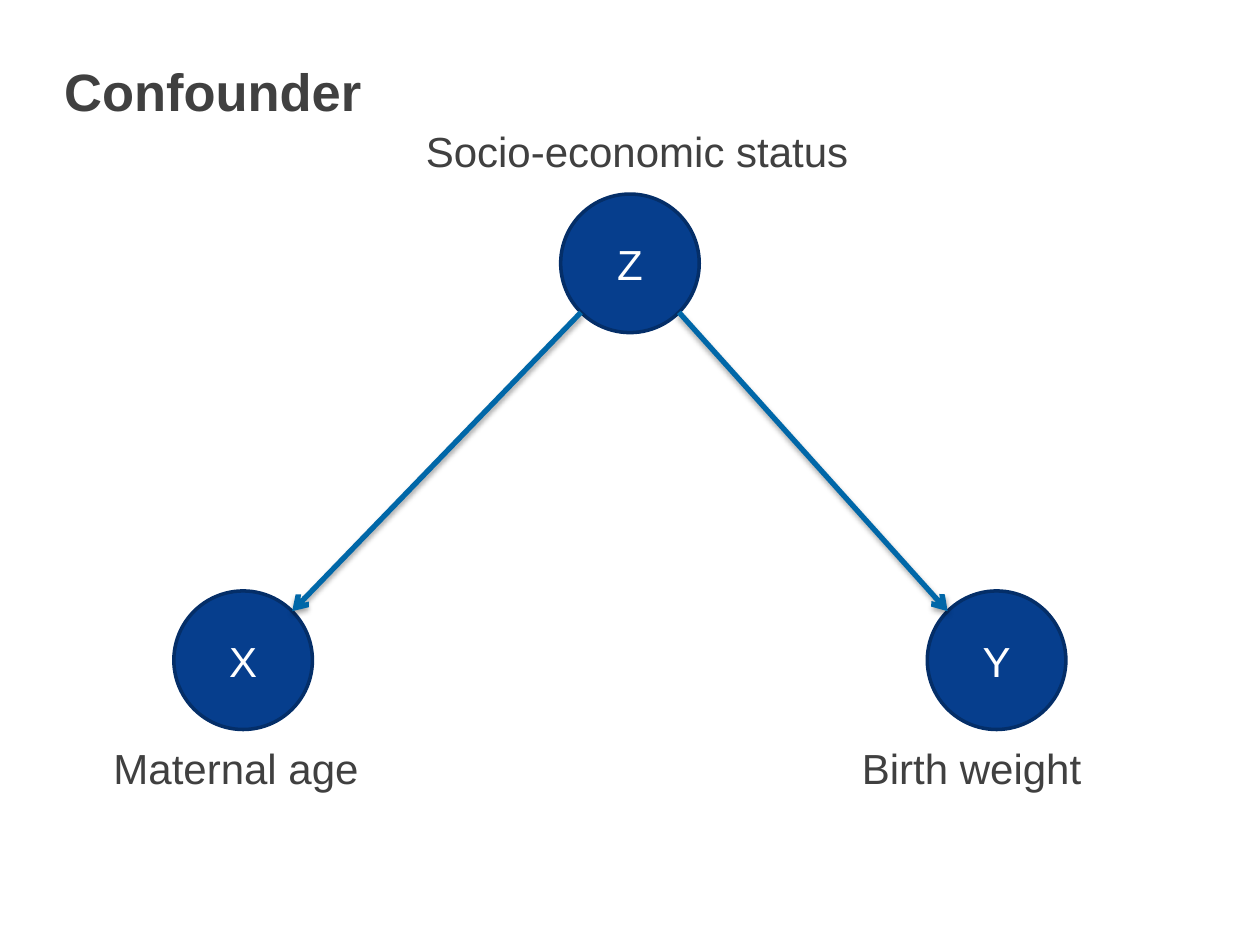
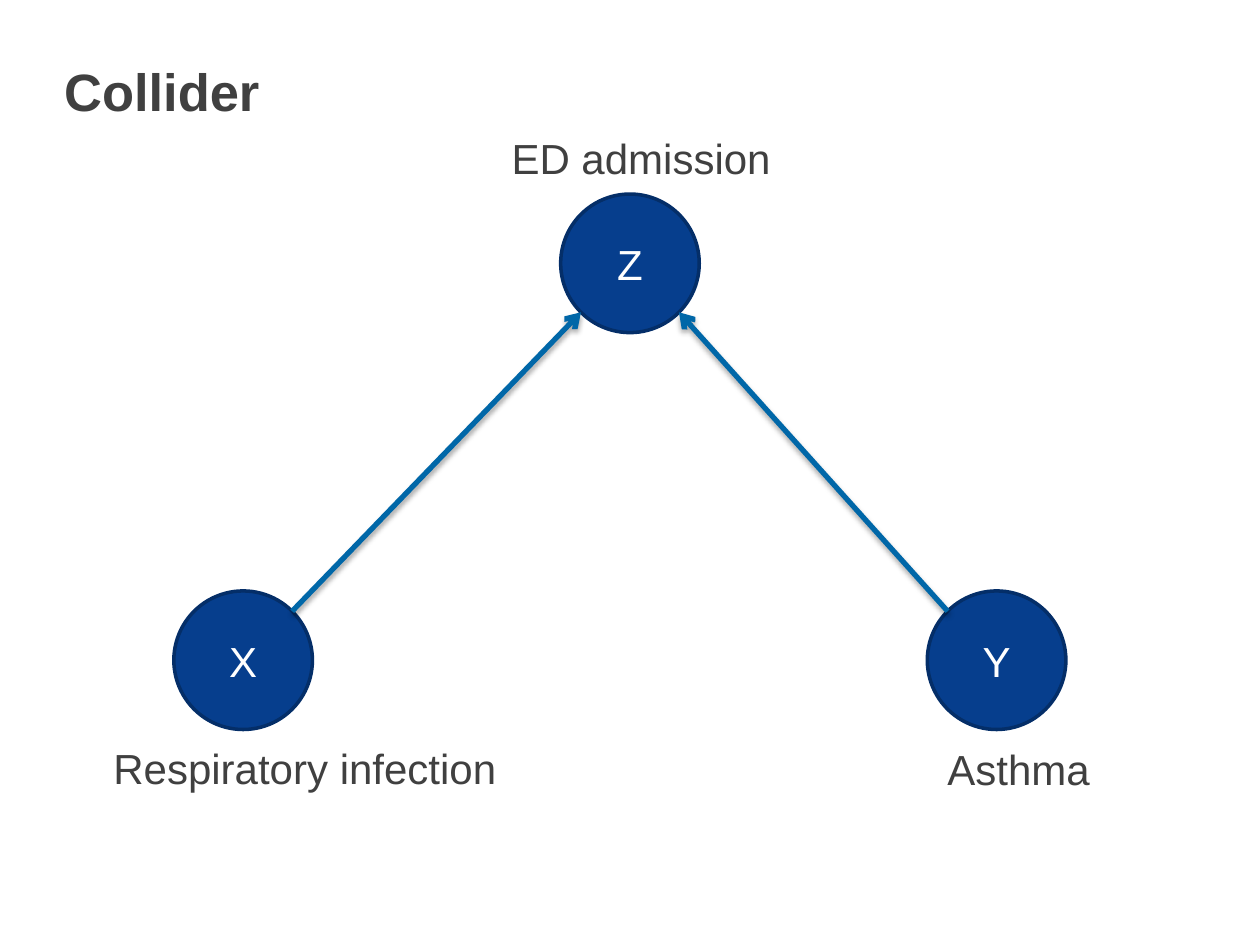
"""Build two causal diagram slides: a confounder and a collider."""
from dataclasses import dataclass
from math import sqrt

from lxml.etree import SubElement
from pptx import Presentation
from pptx.dml.color import RGBColor as RGB
from pptx.enum.shapes import MSO_CONNECTOR as CONN, MSO_SHAPE as SHAPE
from pptx.enum.text import MSO_ANCHOR as ANCHOR, PP_ALIGN as ALIGN
from pptx.oxml.ns import qn
from pptx.util import Inches, Pt


@dataclass(frozen=True)
class Theme:
    font: str = "Arial"
    text: str = "404040"
    white: str = "FFFFFF"
    node: str = "063E8D"
    node_line: str = "042E68"
    arrow: str = "0067A8"
    shadow: str = "000000"
    title_size: int = 30
    body_size: int = 24


T = Theme()
DIAMETER = 1.1
RADIUS = DIAMETER / 2
DIAGONAL = RADIUS / sqrt(2)
NODES = {"X": (1.38, 4.69), "Y": (7.36, 4.69), "Z": (4.45, 1.54)}
SLIDES = [
    ("Confounder", ["ZY", "ZX"], [
        ("Socio-economic status", 3.38, 1, 3.43),
        ("Maternal age", 0.9, 5.89, 2.29),
        ("Birth weight", 6.84, 5.89, 2.29)]),
    ("Collider", ["YZ", "XZ"], [
        ("ED admission", 4.06, 1.05, 2.29),
        ("Respiratory infection", 0.9, 5.89, 3.16),
        ("Asthma", 7.52, 5.9, 1.33)]),
]


def write(sp, text, size, color, bold=False, align=ALIGN.LEFT, anchor=ANCHOR.TOP, inset=0.0):
    tf = sp.text_frame
    frame = {"word_wrap": True, "vertical_anchor": anchor}
    for side in ("left", "top", "right", "bottom"):
        frame[f"margin_{side}"] = Inches(inset)
    for name, value in frame.items():
        setattr(tf, name, value)
    p = tf.paragraphs[0]
    p.alignment = align
    r = p.add_run()
    r.text = text
    for name, value in {"name": T.font, "size": Pt(size), "bold": bold}.items():
        setattr(r.font, name, value)
    r.font.color.rgb = RGB.from_string(color)
    return p


def add_arrow(s, start, end):
    (x1, y1), (x2, y2) = NODES[start], NODES[end]
    dx = DIAGONAL if x2 > x1 else -DIAGONAL
    dy = DIAGONAL if y2 > y1 else -DIAGONAL
    ends = (x1 + RADIUS + dx, y1 + RADIUS + dy, x2 + RADIUS - dx, y2 + RADIUS - dy)
    cx = s.shapes.add_connector(CONN.STRAIGHT, *map(Inches, ends))
    cx.line.color.rgb = RGB.from_string(T.arrow)
    cx.line.width = Pt(3)
    sp_pr = cx.line._get_or_add_ln().getparent()
    SubElement(sp_pr.find(qn("a:ln")), qn("a:tailEnd"), type="arrow")
    effects = SubElement(sp_pr, qn("a:effectLst"))
    shadow = SubElement(effects, qn("a:outerShdw"), blurRad=str(Pt(3.1)),
                        dist=str(Pt(1.8)), dir="5400000", rotWithShape="0")
    color = SubElement(shadow, qn("a:srgbClr"), val=T.shadow)
    SubElement(color, qn("a:alpha"), val="35000")


prs = Presentation()
prs.slide_width, prs.slide_height = Inches(10), Inches(7.5)

for title, arrows, labels in SLIDES:
    s = prs.slides.add_slide(prs.slide_layouts[5])
    sp = s.shapes.title
    for name, value in {"left": 0.51, "top": 0.47, "width": 8.98, "height": 0.5}.items():
        setattr(sp, name, Inches(value))
    write(sp, title, T.title_size, T.text, bold=True)

    for name, (x, y) in NODES.items():
        sp = s.shapes.add_shape(SHAPE.OVAL, *map(Inches, (x, y, DIAMETER, DIAMETER)))
        sp.shadow.inherit = False
        sp.fill.solid()
        sp.fill.fore_color.rgb = RGB.from_string(T.node)
        sp.line.color.rgb = RGB.from_string(T.node_line)
        sp.line.width = Pt(2)
        write(sp, name, T.body_size, T.white, align=ALIGN.CENTER, anchor=ANCHOR.MIDDLE, inset=0.05)

    for start, end in arrows:
        add_arrow(s, start, end)

    for text, x, y, width in labels:
        sp = s.shapes.add_textbox(*map(Inches, (x, y, width, 0.36)))
        p = write(sp, text, T.body_size, T.text)
        p.space_before = Pt(12)

prs.save("out.pptx")
